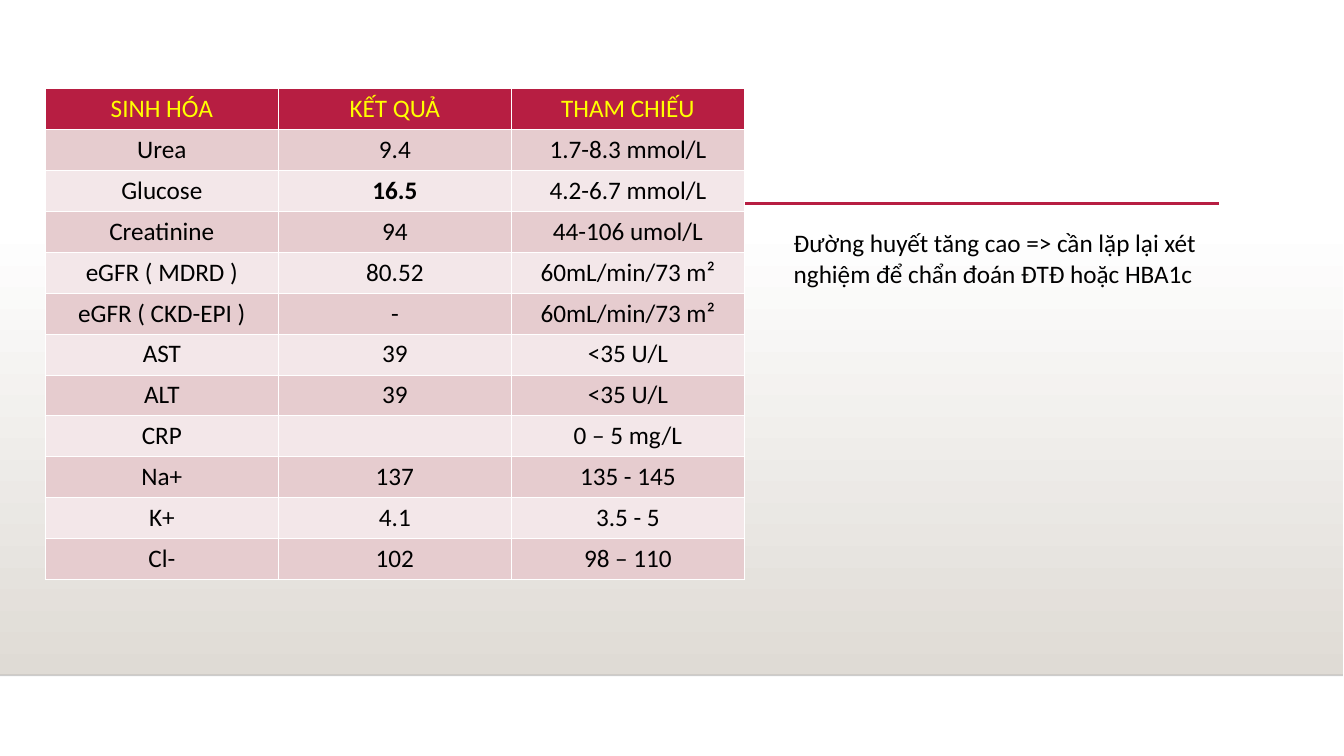
from dataclasses import dataclass

from lxml.etree import SubElement
from pptx import Presentation
from pptx.dml.color import RGBColor
from pptx.enum.shapes import MSO_CONNECTOR as Link, MSO_SHAPE as Form
from pptx.enum.text import PP_ALIGN as Align
from pptx.oxml.ns import qn
from pptx.util import Inches, Pt

RED, WHITE, BLACK, YELLOW = "B71E42", "FFFFFF", "000000", "FFFF00"
BANDS = ("F3E7E9", "E6CCCF")
WIDTH = 13.33


@dataclass
class Rule:
    left: float
    right: float
    top: float
    color: str
    weight: float
    alpha: int = 100


RULES = [
    Rule(0, WIDTH, 6.7, "000001", 1, 20),
    Rule(1.59, 12.1, 2.02, RED, 2.5),
]

ROWS = [
    ("SINH HÓA", "KẾT QUẢ", "THAM CHIẾU"),
    ("Urea", "9.4", "1.7-8.3 mmol/L"),
    ("Glucose", "16.5", "4.2-6.7 mmol/L"),
    ("Creatinine", "94", "44-106 umol/L"),
    ("eGFR ( MDRD )", "80.52", "60mL/min/73 m²"),
    ("eGFR ( CKD-EPI )", "-", "60mL/min/73 m²"),
    ("AST", "39", "<35 U/L"),
    ("ALT", "39", "<35 U/L"),
    ("CRP", "", "0 – 5 mg/L"),
    ("Na+", "137", "135 - 145"),
    ("K+", "4.1", "3.5 - 5"),
    ("Cl-", "102", "98 – 110"),
]
HIGH = "16.5"
NOTE = "Đường huyết tăng cao => cần lặp lại xét nghiệm để chẩn đoán ĐTĐ hoặc HBA1c"


def paint(color: str) -> RGBColor:
    return RGBColor.from_string(color)


def style(para, color: str, bold: bool = False) -> None:
    font = para.font
    font.name, font.size, font.bold = "Calibri", Pt(18), bold
    font.color.rgb = paint(color)


def draw_rule(slide, rule: Rule) -> None:
    line = slide.shapes.add_connector(
        Link.STRAIGHT, Inches(rule.left), Inches(rule.top),
        Inches(rule.right), Inches(rule.top))
    line.line.color.rgb = paint(rule.color)
    line.line.width = Pt(rule.weight)
    props = line._element.spPr
    if rule.alpha < 100:
        tone = props.find(".//" + qn("a:srgbClr"))
        SubElement(tone, qn("a:alpha"), val=str(rule.alpha * 1000))
    SubElement(props, qn("a:effectLst"))


def edge(cell, side: str, weight: float) -> None:
    props = cell._tc.get_or_add_tcPr()
    line = SubElement(props, qn("a:ln" + side), w=str(Pt(weight)))
    fill = SubElement(line, qn("a:solidFill"))
    SubElement(fill, qn("a:srgbClr"), val=WHITE)


def draw_cell(cell, text: str, row: int) -> None:
    # Thick edge below the header, thin ones elsewhere
    edge(cell, "L", 0.45)
    edge(cell, "R", 0.45)
    edge(cell, "T", 1.47 if row == 1 else 0.45)
    edge(cell, "B", 1.47 if row == 0 else 0.45)
    cell.fill.solid()
    cell.fill.fore_color.rgb = paint(BANDS[row % 2] if row else RED)
    cell.text = text
    para = cell.text_frame.paragraphs[0]
    para.alignment = Align.CENTER
    style(para, BLACK if row else YELLOW, text == HIGH)


def draw_table(slide) -> None:
    table = slide.shapes.add_table(
        len(ROWS), 3, Inches(0.45), Inches(0.88),
        Inches(6.94), Inches(4.84)).table
    for row, texts in enumerate(ROWS):
        for col, text in enumerate(texts):
            draw_cell(table.cell(row, col), text, row)


def draw_note(slide) -> None:
    box = slide.shapes.add_textbox(
        Inches(7.78), Inches(2.21), Inches(4.31), Inches(1))
    frame = box.text_frame
    frame.word_wrap = True
    frame.text = NOTE
    style(frame.paragraphs[0], BLACK)


def draw_floor(slide) -> None:
    floor = slide.shapes.add_shape(
        Form.RECTANGLE, 0, Inches(2.21), Inches(WIDTH), Inches(4.49))
    floor.shadow.inherit = False
    floor.line.fill.background()
    floor.fill.gradient()
    floor.fill.gradient_angle = 270
    for stop, color in zip(floor.fill.gradient_stops, (WHITE, "DFDBD5")):
        stop.color.rgb = paint(color)


def main() -> None:
    deck = Presentation()
    deck.slide_width, deck.slide_height = Inches(13.34), Inches(7.5)
    slide = deck.slides.add_slide(deck.slide_layouts[6])
    # Backdrop
    draw_floor(slide)
    for rule in RULES:
        draw_rule(slide, rule)
    # Content
    draw_table(slide)
    draw_note(slide)
    deck.save("out.pptx")


if __name__ == "__main__":
    main()
